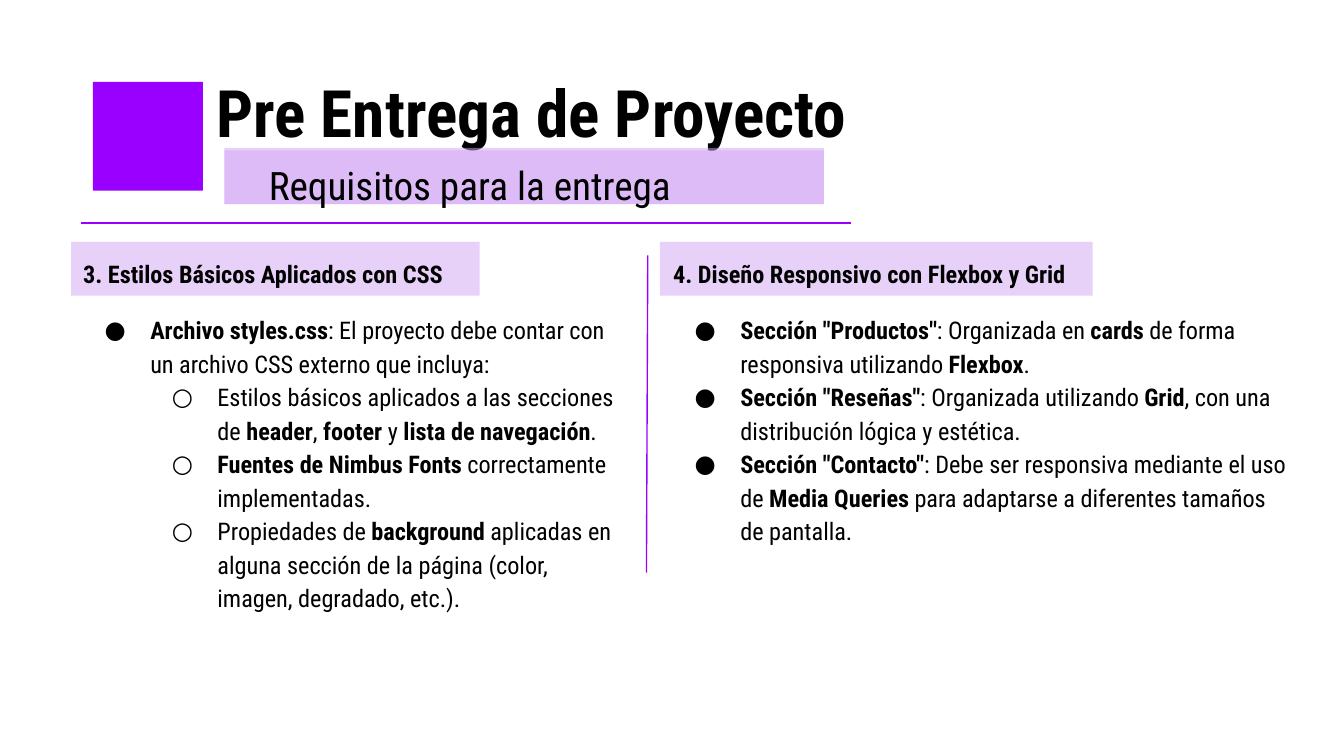
"""Build the slide on the project requirements for CSS styles and responsive design."""
from lxml import etree
from pptx import Presentation
from pptx import util as u
from pptx.dml.color import RGBColor
from pptx.enum import shapes, text
from pptx.oxml.ns import qn

FONT = "Roboto Condensed"
BLACK = RGBColor(0, 0, 0)
PURPLE = RGBColor(0x99, 0x00, 0xFF)
LILAC = RGBColor(0xD2, 0xA6, 0xF4)
BULLETS = ["●", "○"]


def add_block(left, top, width, height, color, alpha=100):
    block = page.shapes.add_shape(
        shapes.MSO_SHAPE.RECTANGLE,
        u.Inches(left), u.Inches(top), u.Inches(width), u.Inches(height))
    block.shadow.inherit = False
    block.line.fill.background()
    block.fill.solid()
    block.fill.fore_color.rgb = color
    if alpha < 100:
        tint = block._element.spPr.find(".//" + qn("a:srgbClr"))
        etree.SubElement(tint, qn("a:alpha"), val=str(alpha * 1000))


def set_font(para, size, bold=None):
    para.font.name = FONT
    para.font.size = u.Pt(size)
    para.font.color.rgb = BLACK
    para.font.bold = bold


deck = Presentation()
deck.slide_width = u.Inches(10)
deck.slide_height = deck.slide_width * 9 // 16
page = deck.slides.add_slide(deck.slide_layouts[5])

title = page.shapes.title
title.left, title.top = u.Inches(1.51), u.Inches(0.44)
title.width, title.height = u.Inches(5.22), u.Inches(0.81)
frame = title.text_frame
frame.margin_left = frame.margin_right = u.Inches(0.1)
frame.margin_top = frame.margin_bottom = u.Inches(0.1)
frame.vertical_anchor = text.MSO_ANCHOR.TOP
frame.auto_size = text.MSO_AUTO_SIZE.NONE
frame.text = "Pre Entrega de Proyecto"
frame.paragraphs[0].alignment = text.PP_ALIGN.LEFT
set_font(frame.paragraphs[0], 35, True)

add_block(0.69, 0.61, 0.82, 0.81, PURPLE)
add_block(1.67, 1.12, 4.46, 0.4, LILAC, 51)
add_block(1.67, 1.1, 4.46, 0.42, LILAC, 51)

subtitle = page.shapes.add_textbox(u.Inches(2), u.Inches(1.13), u.Inches(4.02), u.Inches(0.35))
frame = subtitle.text_frame
frame.word_wrap = True
frame.margin_left = frame.margin_right = frame.margin_top = frame.margin_bottom = 0
frame.text = "Requisitos para la entrega"
frame.paragraphs[0].line_spacing = 1.2
set_font(frame.paragraphs[0], 21)

for x1, y1, x2, y2 in [(0.6, 1.66, 6.33, 1.66), (4.82, 1.9, 4.81, 4.26)]:
    rule = page.shapes.add_connector(
        shapes.MSO_CONNECTOR.STRAIGHT,
        u.Inches(x1), u.Inches(y1), u.Inches(x2), u.Inches(y2))
    rule.line.color.rgb = PURPLE
    rule.line.width = u.Pt(0.75)
    etree.SubElement(rule._element.spPr, qn("a:effectLst"))

columns = [
    (0.53, 3.04, 0.52, 4.2, 2.72, "3. Estilos Básicos Aplicados con CSS", [
        (0, "**Archivo styles.css**: El proyecto debe contar con un archivo CSS externo que incluya:"),
        (1, "Estilos básicos aplicados a las secciones de **header**, **footer** y **lista de navegación**."),
        (1, "**Fuentes de Nimbus Fonts** correctamente implementadas."),
        (1, "Propiedades de **background** aplicadas en alguna sección de la página "
            "(color, imagen, degradado, etc.)."),
    ]),
    (4.91, 3.22, 4.91, 4.81, 3.07, "4. Diseño Responsivo con Flexbox y Grid", [
        (0, "**Sección \"Productos\"**: Organizada en **cards** de forma responsiva utilizando **Flexbox**."),
        (0, "**Sección \"Reseñas\"**: Organizada utilizando **Grid**, con una distribución lógica y estética."),
        (0, "**Sección \"Contacto\"**: Debe ser responsiva mediante el uso de **Media Queries** "
            "para adaptarse a diferentes tamaños de pantalla."),
    ]),
]

for band_left, band_width, left, width, height, heading, items in columns:
    add_block(band_left, 1.8, band_width, 0.4, LILAC, 51)
    box = page.shapes.add_textbox(u.Inches(left), u.Inches(1.8), u.Inches(width), u.Inches(height))
    frame = box.text_frame
    frame.word_wrap = True
    frame.margin_left = frame.margin_right = u.Inches(0.1)
    frame.margin_top = frame.margin_bottom = u.Inches(0.1)
    frame.text = heading
    frame.paragraphs[0].line_spacing = 1.15
    set_font(frame.paragraphs[0], 13, True)
    for index, (level, wording) in enumerate(items):
        para = frame.add_paragraph()
        para.level = level
        para.line_spacing = 1.15
        para.space_before = u.Pt(0 if index else 12)
        properties = para._p.get_or_add_pPr()
        properties.set("marL", str(u.Inches(0.5 * (level + 1))))
        properties.set("indent", str(u.Inches(-0.34)))
        etree.SubElement(properties, qn("a:buFont"), typeface=FONT)
        etree.SubElement(properties, qn("a:buChar"), char=BULLETS[level])
        set_font(para, 13)
        for part, words in enumerate(wording.split("**")):
            if words:
                span = para.add_run()
                span.text = words
                span.font.bold = part % 2 == 1

deck.save("out.pptx")
